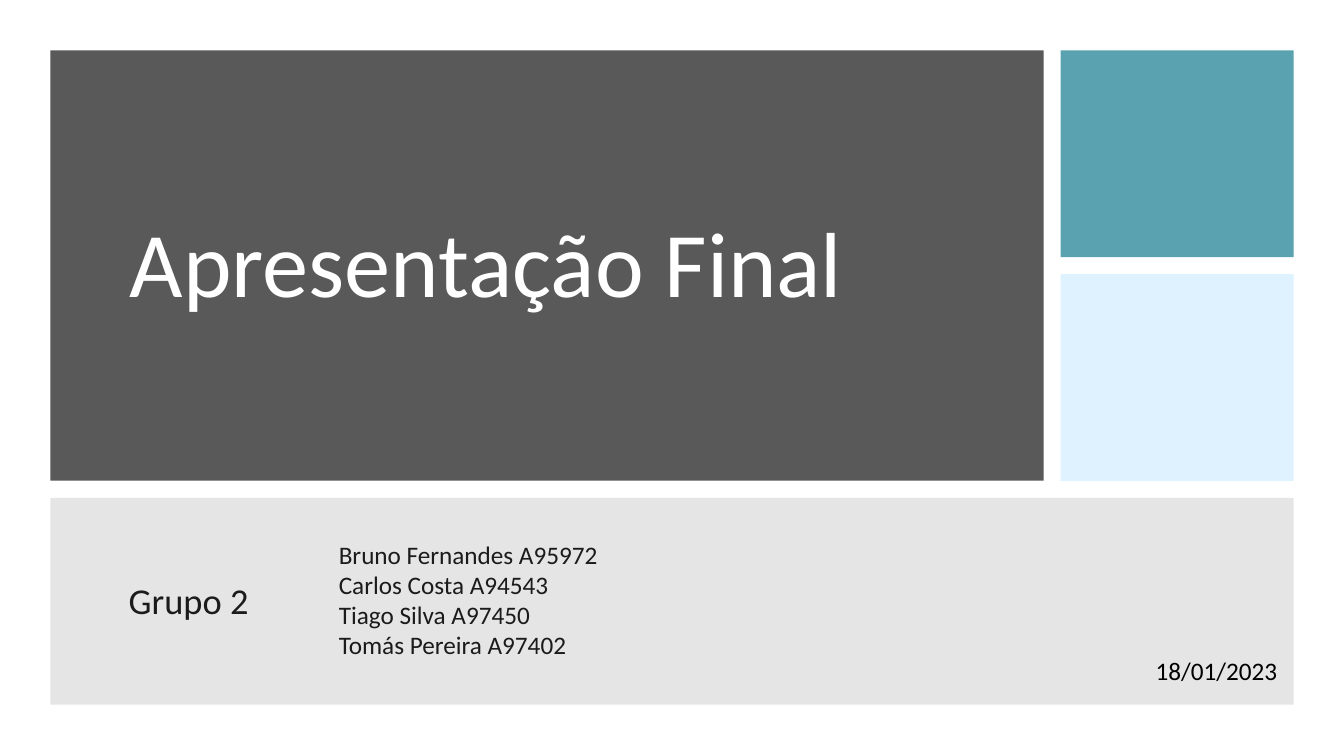
from pptx import Presentation
from pptx.dml.color import RGBColor
from pptx.enum.shapes import MSO_SHAPE as Shape
from pptx.enum.text import MSO_ANCHOR as Anchor
from pptx.oxml.ns import qn
from pptx.util import Inches, Pt
from lxml.etree import SubElement

WIDTH, HEIGHT = 13.33, 7.5
MARGIN, GAP = 0.5, 0.17
ROW = 2.05
SIDE = 2.31
FULL = WIDTH - 2 * MARGIN


def color(value):
    return RGBColor.from_string(value)


def add_panel(page, box, fill, opacity=100):
    panel = page.shapes.add_shape(Shape.RECTANGLE, *map(Inches, box))
    panel.shadow.inherit = False
    panel.line.fill.background()
    panel.fill.solid()
    panel.fill.fore_color.rgb = color(fill)
    if opacity < 100:
        tone = panel.fill._xPr.find(qn("a:solidFill"))[0]
        SubElement(tone, qn("a:alpha")).set("val", str(opacity * 1000))


def add_text(page, box, lines, size, ink, anchor=Anchor.TOP, spacing=1.0):
    frame = page.shapes.add_textbox(*map(Inches, box)).text_frame
    frame.word_wrap = True
    frame.vertical_anchor = anchor
    frame.text = "\n".join(lines)
    for para in frame.paragraphs:
        para.line_spacing = spacing
        para.font.name = "Calibri"
        para.font.size = Pt(size)
        para.font.color.rgb = color(ink)


def add_title(page, box):
    left, top, width, height = box
    add_panel(page, box, "595959")
    inner = (left + 0.07 * width, top + 0.17 * height, 0.855 * width, 0.67 * height)
    add_text(page, inner, ["Apresentação Final"], 66, "FFFFFF", Anchor.MIDDLE, 0.9)


def add_accents(page, box):
    left, top, width, height = box
    tile = (height - GAP) / 2
    for index, (fill, opacity) in enumerate([("529EAC", 95), ("5CBEFF", 20)]):
        add_panel(page, (left, top + index * (tile + GAP), width, tile), fill, opacity)


def add_group(page, box):
    left, top, width, height = box
    add_panel(page, box, "7F7F7F", 20)
    text_top = top + 0.175 * height
    add_text(page, (left + 0.055 * width, text_top, 0.16 * width, 0.66 * height),
             ["Grupo 2"], 26, "1B1B1B", Anchor.MIDDLE, 0.9)
    members = ["Bruno Fernandes A95972", "Carlos Costa A94543",
               "Tiago Silva A97450", "Tomás Pereira A97402"]
    add_text(page, (left + 0.224 * width, text_top, 0.265 * width, 0.64 * height),
             members, 18, "1B1B1B")
    add_text(page, (left + 0.881 * width, top + 0.737 * height, 0.122 * width, 0.2 * height),
             ["18/01/2023"], 18, "000000")


def build_cover(deck):
    page = deck.slides.add_slide(deck.slide_layouts[6])
    upper = 2 * ROW + GAP
    main = FULL - SIDE - GAP
    add_title(page, (MARGIN, MARGIN, main, upper))
    add_accents(page, (MARGIN + main + GAP, MARGIN, SIDE, upper))
    add_group(page, (MARGIN, MARGIN + upper + GAP, FULL, ROW))


def main():
    deck = Presentation()
    deck.slide_width, deck.slide_height = Inches(WIDTH), Inches(HEIGHT)
    build_cover(deck)
    deck.save("out.pptx")


if __name__ == "__main__":
    main()
